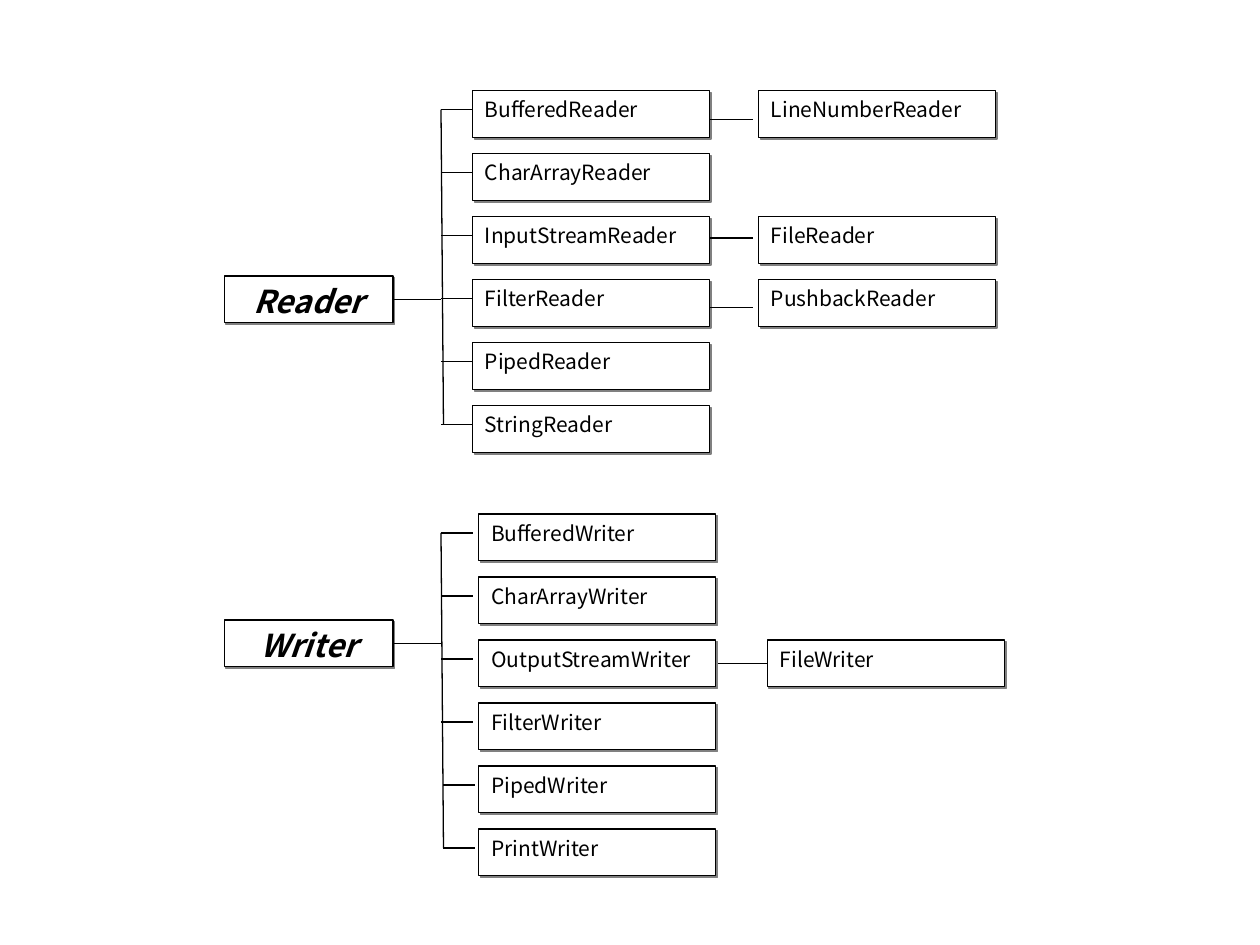
"""Draw the Reader and Writer class trees as boxes joined by lines."""
from dataclasses import dataclass

from lxml import etree
from pptx import Presentation
from pptx.dml.color import RGBColor
from pptx.enum.shapes import MSO_CONNECTOR, MSO_SHAPE
from pptx.enum.text import MSO_ANCHOR, PP_ALIGN
from pptx.oxml.ns import qn
from pptx.shapes.autoshape import Shape
from pptx.shapes.connector import Connector
from pptx.slide import Slide
from pptx.util import Emu, Inches, Pt

RECTANGLE = MSO_SHAPE.RECTANGLE
STRAIGHT = MSO_CONNECTOR.STRAIGHT
TOP = MSO_ANCHOR.TOP
CENTER = PP_ALIGN.CENTER
JUSTIFY = PP_ALIGN.JUSTIFY
LEFT_SIDE, RIGHT_SIDE = 1, 3

BLACK = RGBColor(0x00, 0x00, 0x00)
WHITE = RGBColor(0xFF, 0xFF, 0xFF)
GRAY = RGBColor(0x80, 0x80, 0x80)

COLUMN, ROW = Inches(0.25), Inches(0.5)
SLIDE_COLUMNS, SLIDE_ROWS = 40, 15
ROOT_LEFT, ROOT_WIDTH = 7.12, 5.36
NODE_WIDTH, BOX_HEIGHT = 7.52, 0.74
TRUNK_TOP, TRUNK_BOTTOM = 14, 14.08
BRANCH_DROP, BRANCH_WIDTH = 0.3, 1

FONT = "Noto Sans CJK KR"
ROOT_FORMAT = {"name": FONT, "size": Pt(18), "bold": True, "italic": True}
NODE_FORMAT = {"name": FONT, "size": Pt(12)}
LINE_WIDTH = Pt(0.75)


@dataclass(frozen=True)
class Leaf:
    """A third-level class and the line leading to it."""
    name: str
    row: int
    line_drop: float


@dataclass(frozen=True)
class Tree:
    """A root class, its children and its grandchildren."""
    root: str
    top: float
    root_drop: float
    node_left: float
    leaf_left: float
    line_start: float
    line_end: float
    joined: bool
    shifted_from: int
    nodes: tuple[str, ...]
    leaves: tuple[Leaf, ...]


TREES = (
    Tree("Reader", 1.44, 2.94, 15, 24.08, 22.52, 23.92, False, 6,
         ("BufferedReader", "CharArrayReader", "InputStreamReader",
          "FilterReader", "PipedReader", "StringReader"),
         (Leaf("LineNumberReader", 0, 0.46), Leaf("FileReader", 2, 0.34),
          Leaf("PushbackReader", 3, 0.44))),
    Tree("Writer", 8.16, 1.68, 15.2, 24.36, 22.8, 24.36, True, 4,
         ("BufferedWriter", "CharArrayWriter", "OutputStreamWriter",
          "FilterWriter", "PipedWriter", "PrintWriter"),
         (Leaf("FileWriter", 2, 0.37),)),
)


def across(columns: float) -> Emu:
    """Return the length of a number of grid columns."""
    return Emu(round(columns * COLUMN))


def down(rows: float) -> Emu:
    """Return the length of a number of grid rows."""
    return Emu(round(rows * ROW))


def add_shadow(box: Shape) -> None:
    """Give a box a hard gray shadow to the lower right."""
    box.shadow.inherit = False
    effects = box._element.spPr.find(qn("a:effectLst"))
    shadow = etree.SubElement(effects, qn("a:outerShdw"), blurRad="0",
                              dist=str(Pt(1.4)), dir="2700000",
                              algn="ctr", rotWithShape="0")
    etree.SubElement(shadow, qn("a:srgbClr"), val=str(GRAY))


def add_box(page: Slide, text: str, left: float, top: float, width: float,
            alignment: PP_ALIGN, formats: dict) -> Shape:
    """Draw one class box with its name."""
    box = page.shapes.add_shape(RECTANGLE, across(left), down(top),
                                across(width), down(BOX_HEIGHT))
    box.fill.solid()
    box.fill.fore_color.rgb = WHITE
    box.line.color.rgb = BLACK
    box.line.width = LINE_WIDTH
    add_shadow(box)
    frame = box.text_frame
    frame.word_wrap = True
    frame.vertical_anchor = TOP
    para = frame.paragraphs[0]
    para.alignment = alignment
    span = para.add_run()
    span.text = text
    span.font.color.rgb = BLACK
    for attribute, value in formats.items():
        setattr(span.font, attribute, value)
    return box


def add_line(page: Slide, left: float, top: float,
             right: float, bottom: float) -> Connector:
    """Draw one plain line between two grid points."""
    line = page.shapes.add_connector(STRAIGHT, across(left), down(top),
                                     across(right), down(bottom))
    line.line.color.rgb = BLACK
    line.line.width = LINE_WIDTH
    etree.SubElement(line._element.spPr, qn("a:effectLst"))
    return line


def draw_tree(page: Slide, tree: Tree) -> None:
    """Draw a whole class tree."""
    root_top = tree.top + tree.root_drop
    root = add_box(page, tree.root, ROOT_LEFT, root_top, ROOT_WIDTH,
                   CENTER, ROOT_FORMAT)
    middle = root_top + BOX_HEIGHT / 2
    stem = add_line(page, ROOT_LEFT + ROOT_WIDTH, middle, TRUNK_TOP, middle)
    stem.begin_connect(root, RIGHT_SIDE)

    first = tree.top + BRANCH_DROP
    add_line(page, TRUNK_TOP, first, TRUNK_BOTTOM, first + len(tree.nodes) - 1)
    for row, name in enumerate(tree.nodes):
        start = TRUNK_TOP if row < tree.shifted_from else TRUNK_BOTTOM
        add_line(page, start, first + row, start + BRANCH_WIDTH, first + row)
        add_box(page, name, tree.node_left, tree.top + row, NODE_WIDTH,
                JUSTIFY, NODE_FORMAT)

    for leaf in tree.leaves:
        top = tree.top + leaf.row
        box = add_box(page, leaf.name, tree.leaf_left, top, NODE_WIDTH,
                      JUSTIFY, NODE_FORMAT)
        height = top + leaf.line_drop
        line = add_line(page, tree.line_start, height, tree.line_end, height)
        if tree.joined:
            line.end_connect(box, LEFT_SIDE)


def main() -> None:
    """Build the deck and save it."""
    deck = Presentation()
    deck.slide_width = across(SLIDE_COLUMNS)
    deck.slide_height = down(SLIDE_ROWS)
    page = deck.slides.add_slide(deck.slide_layouts[6])
    for tree in TREES:
        draw_tree(page, tree)
    deck.save("out.pptx")


if __name__ == "__main__":
    main()
